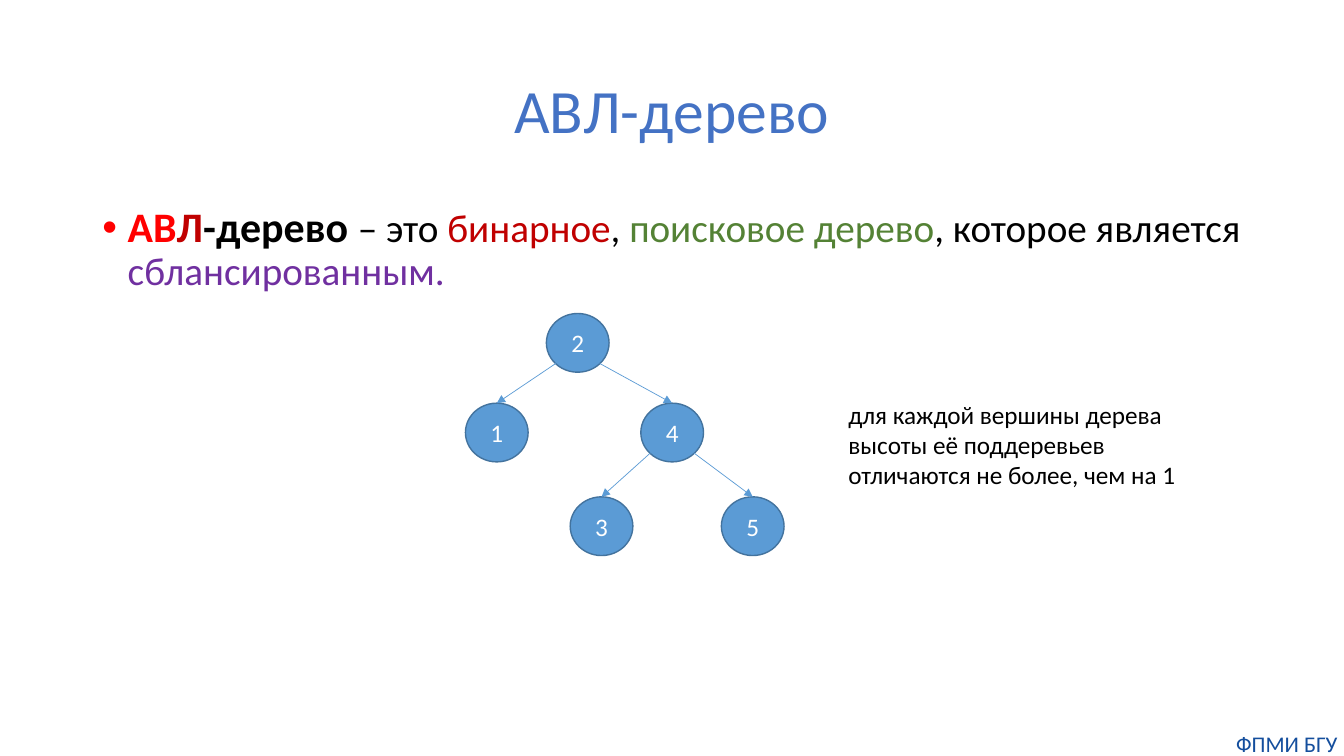
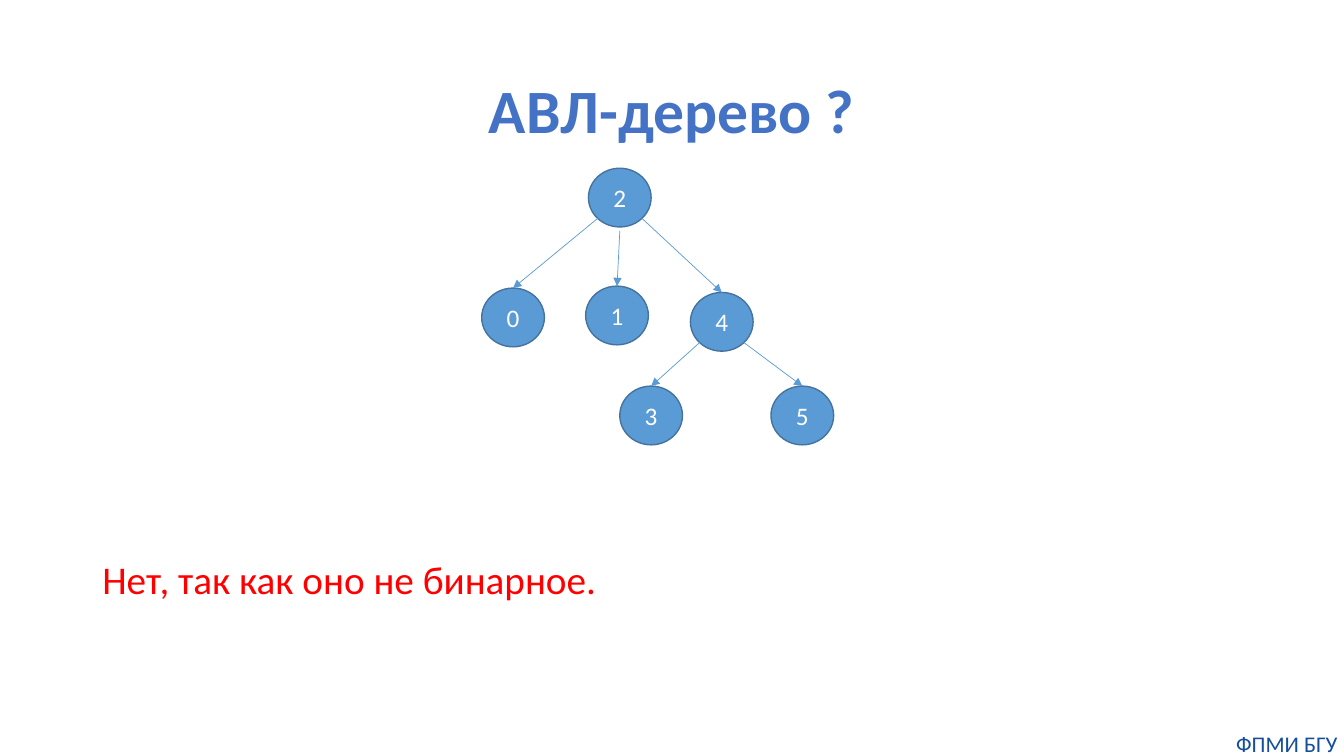
from dataclasses import dataclass

from lxml import etree
from pptx import Presentation
from pptx.dml.color import RGBColor
from pptx.enum.shapes import MSO_CONNECTOR, MSO_SHAPE
from pptx.enum.text import MSO_ANCHOR, PP_ALIGN
from pptx.oxml.ns import qn
from pptx.util import Cm, Pt

LEFT, MID = PP_ALIGN.LEFT, PP_ALIGN.CENTER
TOP, CENTER = MSO_ANCHOR.TOP, MSO_ANCHOR.MIDDLE
OVAL, LINE = MSO_SHAPE.OVAL, MSO_CONNECTOR.STRAIGHT
DIAG = 0.35  # 45-degree point of an oval, as a share of its size


@dataclass(frozen=True)
class Theme:
    font: str = "Calibri"
    # Colours
    title: str = "4472C4"
    text: str = "000000"
    white: str = "FFFFFF"
    red: str = "FF0000"
    dark: str = "C00000"
    green: str = "548235"
    violet: str = "7030A0"
    node: str = "5B9BD5"
    rim: str = "43739E"
    foot: str = "144E9D"
    # Type sizes
    head: int = 44
    lead: int = 30
    body: int = 28
    note: int = 18
    small: int = 16


class Deck:
    def __init__(self, theme):
        self.theme = theme
        self.prs = Presentation()
        self.prs.slide_width, self.prs.slide_height = Cm(33.87), Cm(19.05)
        self.slide = None

    def page(self, title, bold=False):
        """Start a slide with its title and footer."""
        t = self.theme
        self.slide = self.prs.slides.add_slide(self.prs.slide_layouts[5])
        head = self.slide.shapes.title
        head.left, head.top, head.width, head.height = map(
            Cm, (2.33, 1.01, 29.21, 3.68))
        self.put(head, [(title, t.title, t.head, bold)], MID, CENTER, 0.9)
        self.label((30.99, 18.41, 2.88, 0.69),
                   [("ФПМИ БГУ", t.foot, t.small, False)], MID, inset=0)

    def put(self, shape, runs, align=LEFT, anchor=TOP, lines=1.0):
        """Fill a shape with one paragraph of (text, colour, size, bold)."""
        frame = shape.text_frame
        frame.word_wrap, frame.vertical_anchor = True, anchor
        para = frame.paragraphs[0]
        para.alignment, para.line_spacing = align, lines
        for text, color, size, bold in runs:
            run = para.add_run()
            run.text = text
            style = {"name": self.theme.font, "size": Pt(size), "bold": bold}
            for key, value in style.items():
                setattr(run.font, key, value)
            run.font.color.rgb = RGBColor.from_string(color)
        return para

    def label(self, area, runs, align=LEFT, lines=1.0, inset=None):
        box = self.slide.shapes.add_textbox(*map(Cm, area))
        if inset is not None:
            for side in ("left", "right", "top", "bottom"):
                setattr(box.text_frame, "margin_" + side, Cm(inset))
        return self.put(box, runs, align, lines=lines)

    def bullet(self, area, runs):
        para = self.label(area, runs, lines=0.9)
        props = para._p.get_or_add_pPr()
        props.set("marL", str(Cm(0.64)))
        props.set("indent", str(-Cm(0.64)))
        font = etree.SubElement(props, qn("a:buFont"))
        font.set("typeface", "Arial")
        etree.SubElement(props, qn("a:buChar")).set("char", "•")

    def node(self, text, x, y):
        t = self.theme
        oval = self.slide.shapes.add_shape(
            OVAL, Cm(x), Cm(y), Cm(1.58), Cm(1.48))
        oval.shadow.inherit = False
        oval.fill.solid()
        oval.fill.fore_color.rgb = RGBColor.from_string(t.node)
        oval.line.color.rgb = RGBColor.from_string(t.rim)
        oval.line.width = Pt(1)
        self.put(oval, [(text, t.white, t.note, False)], MID, CENTER)
        return oval

    def edge(self, top, low, side):
        """Arrow from the lower left (-1), bottom (0) or right (1) of top."""
        drop = DIAG * top.height if side else top.height / 2 + Cm(0.1)
        x = int(top.left + top.width / 2 + side * DIAG * top.width)
        y = int(top.top + top.height / 2 + drop)
        line = self.slide.shapes.add_connector(LINE, x, y, x, y)
        line.end_connect(low, 0)
        line.line.color.rgb = RGBColor.from_string(self.theme.node)
        line.line.width = Pt(0.5)
        props = line.element.spPr
        tail = etree.SubElement(props.get_or_add_ln(), qn("a:tailEnd"))
        tail.set("type", "triangle")
        etree.SubElement(props, qn("a:effectLst"))

    def tree(self, spots, edges):
        nodes = {key: self.node(key, *spot) for key, spot in spots.items()}
        for top, low, side in edges:
            self.edge(nodes[top], nodes[low], side)


def fork(x, y):
    """Node 4 with its children 3 and 5."""
    return {"4": (x, y), "3": (x - 1.78, y + 2.36), "5": (x + 2.03, y + 2.36)}


def main():
    t = Theme()
    deck = Deck(t)
    links = [("2", "4", 1), ("4", "3", -1), ("4", "5", 1)]

    # Definition
    deck.page("АВЛ-дерево")
    deck.bullet((2.33, 5.08, 29.21, 2.6), [
        ("АВ", t.red, t.lead, True),
        ("Л", t.dark, t.lead, True),
        ("-дерево ", t.text, t.lead, True),
        ("– это ", t.text, t.body, False),
        ("бинарное", t.dark, t.body, False),
        (", ", t.text, t.body, False),
        ("поисковое дерево", t.green, t.body, False),
        (", которое является ", t.text, t.body, False),
        ("сблансированным.", t.violet, t.body, False)])
    deck.tree({"2": (13.77, 7.9), "1": (11.73, 10.16), **fork(16.15, 10.16)},
              [("2", "1", -1), *links])
    deck.label((21.13, 9.93, 9.22, 2.57), [
        ("для каждой вершины дерева высоты её поддеревьев "
         "отличаются не более, чем на 1", t.text, t.note, False)])

    # Counterexample
    deck.page("АВЛ-дерево ?", bold=True)
    deck.tree({"2": (14.83, 4.24), "0": (12.14, 7.26), "1": (14.76, 7.21),
               **fork(17.4, 7.37)},
              [("2", "0", -1), ("2", "1", 0), *links])
    deck.label((2.33, 13.87, 29.21, 1.5), [
        ("Нет, так как оно не бинарное.", t.red, t.body, False)])

    deck.prs.save("out.pptx")


if __name__ == "__main__":
    main()
